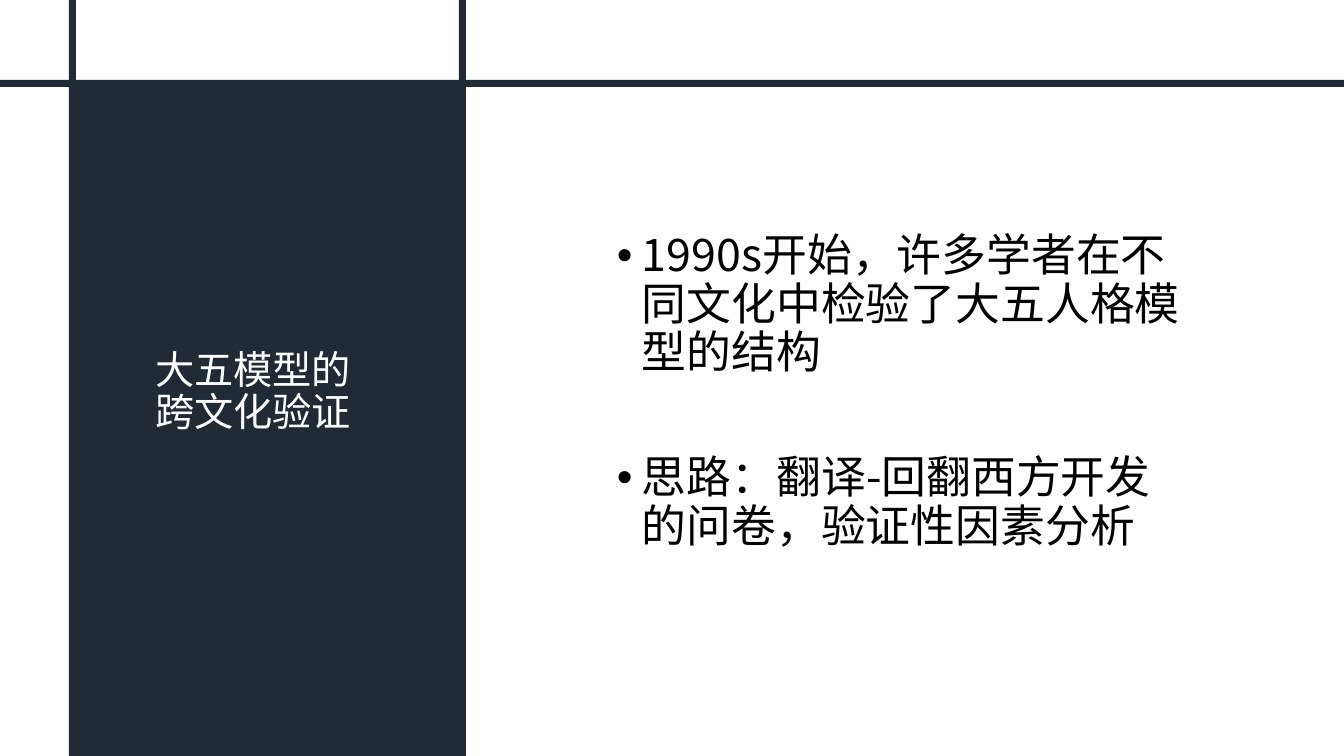
from dataclasses import dataclass

from lxml.etree import SubElement
from pptx import Presentation
from pptx.dml.color import RGBColor
from pptx.enum.lang import MSO_LANGUAGE_ID
from pptx.enum.shapes import MSO_SHAPE
from pptx.enum.text import MSO_ANCHOR, MSO_AUTO_SIZE, PP_ALIGN
from pptx.oxml.ns import qn
from pptx.util import Emu, Pt

SLIDE_WIDTH, SLIDE_HEIGHT = 1344, 756
EMU_PER_PX = 12192000 / SLIDE_WIDTH


@dataclass(frozen=True)
class Theme:
    font: str = "Noto Sans CJK SC"
    navy: str = "222A35"
    white: str = "FFFFFF"
    black: str = "000000"
    title_size: int = 28
    body_size: int = 32
    line_spacing: float = 0.9
    bullet_gap: int = 55
    bullet_indent: int = 25


def px(length):
    return Emu(round(length * EMU_PER_PX))


def write_text(paragraph, text, *, font, size, color, line_spacing, space_before=0):
    paragraph.alignment = PP_ALIGN.LEFT
    paragraph.line_spacing = line_spacing
    paragraph.space_before = Pt(space_before)
    run = paragraph.add_run()
    run.text = text
    run.font.name = font
    run.font.size = Pt(size)
    run.font.color.rgb = RGBColor.from_string(color)
    run.font.language_id = MSO_LANGUAGE_ID.SIMPLIFIED_CHINESE
    SubElement(run.font._element, qn("a:ea")).set("typeface", font)


class SlideBuilder:
    def __init__(self, presentation, theme):
        self.theme = theme
        self.slide = presentation.slides.add_slide(presentation.slide_layouts[5])

    def background(self):
        fill = self.slide.background.fill
        fill.solid()
        fill.fore_color.rgb = RGBColor.from_string(self.theme.white)

    def block(self, left, top, width, height):
        shape = self.slide.shapes.add_shape(
            MSO_SHAPE.RECTANGLE, px(left), px(top), px(width), px(height)
        )
        shape.shadow.inherit = False
        shape.fill.solid()
        shape.fill.fore_color.rgb = RGBColor.from_string(self.theme.navy)
        shape.line.fill.background()

    def frame(self, shape):
        text_frame = shape.text_frame
        text_frame.word_wrap = True
        text_frame.auto_size = MSO_AUTO_SIZE.NONE
        text_frame.vertical_anchor = MSO_ANCHOR.MIDDLE
        return text_frame

    def title(self, text, left, top, width, height):
        shape = self.slide.shapes.title
        shape.left, shape.top = px(left), px(top)
        shape.width, shape.height = px(width), px(height)
        tree = self.slide.shapes._spTree
        tree.remove(shape._element)
        tree.append(shape._element)
        write_text(
            self.frame(shape).paragraphs[0],
            text,
            font=self.theme.font,
            size=self.theme.title_size,
            color=self.theme.white,
            line_spacing=self.theme.line_spacing,
        )

    def bullets(self, items, left, top, width, height):
        shape = self.slide.shapes.add_textbox(px(left), px(top), px(width), px(height))
        text_frame = self.frame(shape)
        indent = px(self.theme.bullet_indent)
        for index, item in enumerate(items):
            paragraph = text_frame.add_paragraph() if index else text_frame.paragraphs[0]
            properties = paragraph._p.get_or_add_pPr()
            properties.set("marL", str(indent))
            properties.set("indent", str(-indent))
            SubElement(properties, qn("a:buFont")).set("typeface", "Arial")
            SubElement(properties, qn("a:buChar")).set("char", "•")
            write_text(
                paragraph,
                item,
                font=self.theme.font,
                size=self.theme.body_size,
                color=self.theme.black,
                line_spacing=self.theme.line_spacing,
                space_before=self.theme.bullet_gap if index else 0,
            )


def main():
    presentation = Presentation()
    presentation.slide_width = px(SLIDE_WIDTH)
    presentation.slide_height = px(SLIDE_HEIGHT)

    builder = SlideBuilder(presentation, Theme())
    builder.background()
    builder.block(73, 86, 393, 670)
    builder.title("大五模型的跨文化验证", 145, 158, 238, 469)
    bar = 7
    builder.block(0, 80, SLIDE_WIDTH, bar)
    for left in (69, 459):
        builder.block(left, 0, bar, SLIDE_HEIGHT)
    builder.bullets(
        [
            "1990s开始，许多学者在不同文化中检验了大五人格模型的结构",
            "思路：翻译-回翻西方开发的问卷，验证性因素分析",
        ],
        607, 158, 596, 469,
    )
    presentation.save("out.pptx")


if __name__ == "__main__":
    main()
